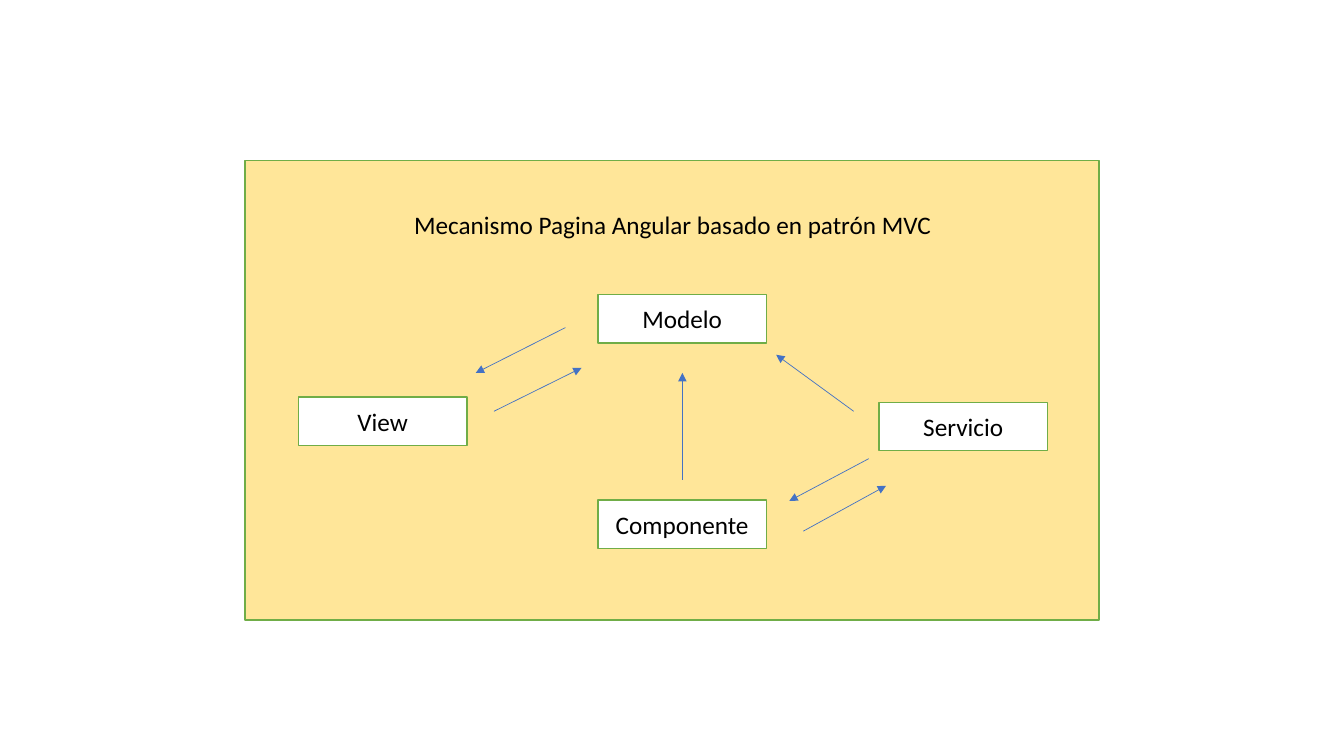
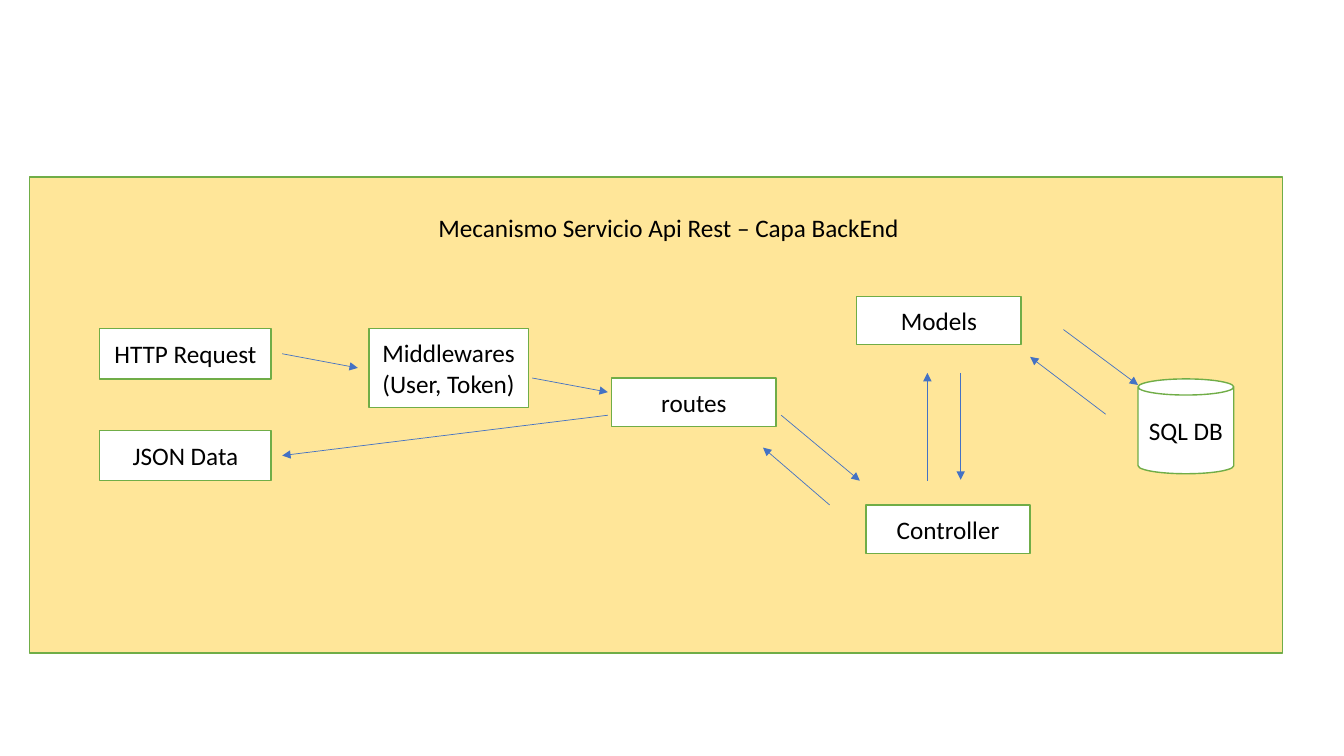
from typing import NamedTuple

from lxml.etree import SubElement
from pptx import Presentation
from pptx.dml.color import RGBColor
from pptx.enum.shapes import MSO_CONNECTOR as Connector, MSO_SHAPE as Shape
from pptx.enum.text import MSO_ANCHOR as Anchor, PP_ALIGN as Align
from pptx.oxml.ns import qn
from pptx.util import Pt

BLACK = RGBColor(0x00, 0x00, 0x00)
WHITE = RGBColor(0xFF, 0xFF, 0xFF)
SAND = RGBColor(0xFF, 0xE6, 0x99)
GREEN = RGBColor(0x70, 0xAD, 0x47)
BLUE = RGBColor(0x44, 0x72, 0xC4)
FONT = "Calibri"
TEXT_SIZE = 18
TITLE_HEIGHT = 28.8


class Box(NamedTuple):
    """A rectangle in points."""
    left: float
    top: float
    width: float
    height: float

    def inner(self, left, top, width, height):
        """Return a box whose position is measured from this one."""
        return Box(self.left + left, self.top + top, width, height)

    def lengths(self):
        """Return the four measures as slide lengths."""
        return [Pt(value) for value in self]


def write(shape, text, align):
    """Put one styled paragraph into a shape."""
    frame = shape.text_frame
    frame.word_wrap = True
    frame.text = text
    para = frame.paragraphs[0]
    para.alignment = align
    for span in para.runs:
        span.font.name = FONT
        span.font.size = Pt(TEXT_SIZE)
        span.font.color.rgb = BLACK


def add_outlined(page, kind, box, fill):
    """Add a filled shape with the green outline."""
    shape = page.shapes.add_shape(kind, *box.lengths())
    shape.shadow.inherit = False
    shape.fill.solid()
    shape.fill.fore_color.rgb = fill
    shape.line.color.rgb = GREEN
    shape.line.width = Pt(1)
    return shape


def add_node(page, box, text, kind=Shape.RECTANGLE):
    """Add a white node with a centred label."""
    node = add_outlined(page, kind, box, WHITE)
    node.text_frame.vertical_anchor = Anchor.MIDDLE
    write(node, text, Align.CENTER)
    return node


def add_database(page, box, text):
    """Add a cylinder node with a shallow lid."""
    add_node(page, box, text, Shape.CAN).adjustments[0] = 0.17


def add_arrow(page, panel, start, end):
    """Draw a thin arrow between two points of the panel."""
    points = [Pt(edge + offset) for point in (start, end)
              for edge, offset in zip(panel, point)]
    arrow = page.shapes.add_connector(Connector.STRAIGHT, *points)
    arrow.line.color.rgb = BLUE
    arrow.line.width = Pt(0.5)
    SubElement(arrow.line._get_or_add_ln(), qn("a:tailEnd"), type="triangle")
    SubElement(arrow._element.spPr, qn("a:effectLst"))


def add_diagram(deck, panel, title, title_place, nodes, arrows):
    """Add a page with a titled panel, its nodes and its arrows."""
    page = deck.slides.add_slide(deck.slide_layouts[6])
    add_outlined(page, Shape.RECTANGLE, panel, SAND)
    title_box = panel.inner(*title_place, TITLE_HEIGHT)
    write(page.shapes.add_textbox(*title_box.lengths()), title, Align.LEFT)
    for text, place in nodes:
        add_node(page, panel.inner(*place), text)
    for start, end in arrows:
        add_arrow(page, panel, start, end)
    return page


def add_frontend(deck, panel):
    """Build the page on the MVC mechanism."""
    size = (120.5, 34.6)
    nodes = [
        ("Modelo", (252, 95.8, *size)),
        ("Componente", (252, 242.6, *size)),
        ("Servicio", (452.8, 172.8, *size)),
        ("View", (38.1, 169.2, *size)),
    ]
    arrows = [
        ((228.9, 119.5), (164.8, 151.9)),
        ((177.8, 179.3), (240.4, 148.3)),
        ((434.8, 179.3), (379.4, 138.9)),
        ((445.6, 213.1), (388.8, 243.3)),
        ((398.8, 264.9), (457.9, 232.5)),
        ((312.4, 228.2), (312.4, 151.9)),
    ]
    add_diagram(deck, panel, "Mecanismo Pagina Angular basado en patrón MVC",
                (113.7, 31.7, 399.6), nodes, arrows)


def add_backend(deck, panel):
    """Build the page on the REST service."""
    layer_size = (117.4, 34.6)
    message_size = (122.4, 36)
    nodes = [
        ("Models", (591, 85.2, *layer_size)),
        ("Controller", (597.5, 234.2, *layer_size)),
        ("routes", (416, 143.5, *layer_size)),
        ("Middlewares (User, Token)", (242.5, 108.2, 113.8, 56.2)),
        ("JSON Data", (50.3, 180.9, *message_size)),
        ("HTTP Request", (50.3, 108.2, *message_size)),
    ]
    arrows = [
        ((768.8, 169.4), (714.8, 128.4)),
        ((738.6, 108.9), (791.9, 148.5)),
        ((665.2, 139.9), (665.2, 216.2)),
        ((641.4, 216.9), (641.4, 139.9)),
        ((537, 170.1), (593.2, 216.9)),
        ((571.6, 234.2), (524, 193.2)),
        ((180.6, 126.2), (234.6, 136.3)),
        ((359.2, 143.5), (413.2, 153.6)),
        ((413.2, 170.1), (180.6, 198.9)),
    ]
    page = add_diagram(deck, panel,
                       "Mecanismo Servicio Api Rest – Capa BackEnd",
                       (285, 21.8, 347.8), nodes, arrows)
    add_database(page, panel.inner(791.9, 144.2, 68.4, 67.7), "SQL DB")


def main():
    """Build and save the deck."""
    deck = Presentation()
    deck.slide_width = Pt(960)
    deck.slide_height = Pt(540)
    add_frontend(deck, Box(175, 114.5, 610, 328.5))
    add_backend(deck, Box(21, 126.5, 895, 340))
    deck.save("out.pptx")


main()
